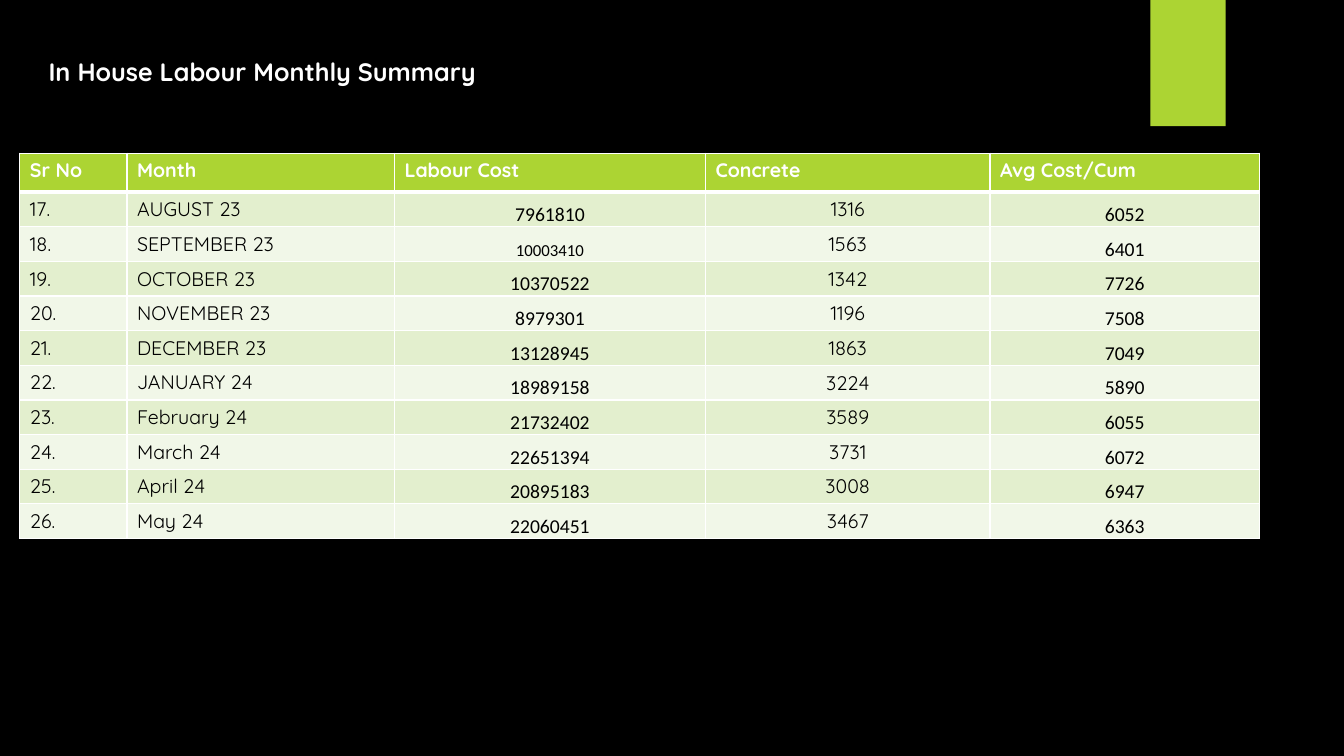
from dataclasses import dataclass

from lxml.etree import SubElement
from pptx import Presentation
from pptx.dml.color import RGBColor
from pptx.enum.shapes import MSO_SHAPE
from pptx.enum.text import MSO_ANCHOR, MSO_AUTO_SIZE, PP_ALIGN
from pptx.oxml.ns import qn
from pptx.util import Cm, Pt


@dataclass(frozen=True)
class Theme:
    background: str = "000000"
    accent: str = "ACD433"
    light_text: str = "FFFFFF"
    dark_text: str = "000000"
    border: str = "FFFFFF"
    bands: tuple = ("E3EFCE", "F1F7E8")
    heading_font: str = "Quicksand"
    number_font: str = "Calibri"
    title_size: int = 18
    table_size: int = 14
    small_size: int = 12


THEME = Theme()
HEADERS = ("Sr No", "Month", "Labour Cost", "Concrete", "Avg Cost/Cum")
FIRST_SERIAL = 17
MONTHS = (
    ("AUGUST 23", 7961810, 1316, 6052),
    ("SEPTEMBER 23", 10003410, 1563, 6401),
    ("OCTOBER 23", 10370522, 1342, 7726),
    ("NOVEMBER 23", 8979301, 1196, 7508),
    ("DECEMBER 23", 13128945, 1863, 7049),
    ("JANUARY 24", 18989158, 3224, 5890),
    ("February 24", 21732402, 3589, 6055),
    ("March 24", 22651394, 3731, 6072),
    ("April 24", 20895183, 3008, 6947),
    ("May 24", 22060451, 3467, 6363),
)
SMALL_VALUE = 10003410
COLUMN_WIDTHS = (2.7, 6.74, 7.84, 7.17, 6.79)
HEADER_HEIGHT, ROW_HEIGHT = 0.98, 0.87

NO_MARGINS = dict.fromkeys(
    ("margin_left", "margin_top", "margin_right", "margin_bottom"), 0)
LEFT_CELL = {"vertical_anchor": MSO_ANCHOR.TOP}
COLUMN_FORMATS = (
    (THEME.heading_font, PP_ALIGN.LEFT, LEFT_CELL),
    (THEME.heading_font, PP_ALIGN.LEFT, LEFT_CELL),
    (THEME.number_font, PP_ALIGN.CENTER,
     {"vertical_anchor": MSO_ANCHOR.BOTTOM, **NO_MARGINS}),
    (THEME.heading_font, PP_ALIGN.CENTER,
     {"vertical_anchor": MSO_ANCHOR.MIDDLE, **NO_MARGINS}),
    (THEME.number_font, PP_ALIGN.CENTER,
     {"vertical_anchor": MSO_ANCHOR.BOTTOM, **NO_MARGINS}),
)


def apply_format(target, values):
    for name, value in values.items():
        setattr(target, name, value)


def fill_solid(target, color):
    target.fill.solid()
    target.fill.fore_color.rgb = RGBColor.from_string(color)


def write_text(text_frame, text, font, size, color, bold, alignment):
    paragraph = text_frame.paragraphs[0]
    paragraph.alignment = alignment
    run = paragraph.add_run()
    run.text = text
    apply_format(run.font, {"name": font, "size": Pt(size), "bold": bold})
    run.font.color.rgb = RGBColor.from_string(color)


def set_borders(cell, top, bottom):
    """Draw the four cell borders; top and bottom are widths in points."""
    properties = cell._tc.get_or_add_tcPr()
    for side, width in (("L", 1), ("R", 1), ("T", top), ("B", bottom)):
        line = SubElement(properties, qn(f"a:ln{side}"), w=str(Pt(width)))
        SubElement(SubElement(line, qn("a:solidFill")), qn("a:srgbClr"), val=THEME.border)


def add_title(slide, text):
    title = slide.shapes.title
    apply_format(title, {"left": Cm(0.97), "top": Cm(1.3),
                         "width": Cm(16.92), "height": Cm(1.8)})
    apply_format(title.text_frame, {"word_wrap": True, "auto_size": MSO_AUTO_SIZE.NONE,
                                    "vertical_anchor": MSO_ANCHOR.TOP})
    write_text(title.text_frame, text, THEME.heading_font, THEME.title_size,
               THEME.light_text, True, PP_ALIGN.LEFT)


def add_accent_tab(slide):
    tab = slide.shapes.add_shape(MSO_SHAPE.RECTANGLE, Cm(28.99), Cm(0), Cm(1.9), Cm(3.18))
    tab.shadow.inherit = False
    fill_solid(tab, THEME.accent)
    tab.line.fill.background()


def fill_header(table):
    for cell, header in zip(table.rows[0].cells, HEADERS):
        set_borders(cell, 1, 3)
        fill_solid(cell, THEME.accent)
        write_text(cell.text_frame, header, THEME.heading_font, THEME.table_size,
                   THEME.light_text, True, PP_ALIGN.LEFT)


def fill_month(table, index, month):
    values = (f"{FIRST_SERIAL + index}.", *month)
    cells = table.rows[index + 1].cells
    for cell, value, (font, alignment, cell_format) in zip(cells, values, COLUMN_FORMATS):
        set_borders(cell, 3 if index == 0 else 1, 1)
        fill_solid(cell, THEME.bands[index % 2])
        apply_format(cell, cell_format)
        size = THEME.small_size if value == SMALL_VALUE else THEME.table_size
        write_text(cell.text_frame, str(value), font, size,
                   THEME.dark_text, False, alignment)


def add_summary_table(slide):
    height = HEADER_HEIGHT + ROW_HEIGHT * len(MONTHS)
    table = slide.shapes.add_table(len(MONTHS) + 1, len(HEADERS), Cm(0.5), Cm(3.86),
                                   Cm(sum(COLUMN_WIDTHS)), Cm(height)).table
    for column, width in zip(table.columns, COLUMN_WIDTHS):
        column.width = Cm(width)
    for index, row in enumerate(table.rows):
        row.height = Cm(ROW_HEIGHT if index else HEADER_HEIGHT)
    fill_header(table)
    for index, month in enumerate(MONTHS):
        fill_month(table, index, month)


def main():
    presentation = Presentation()
    apply_format(presentation, {"slide_width": Cm(33.87), "slide_height": Cm(19.05)})
    slide = presentation.slides.add_slide(presentation.slide_layouts[5])
    fill_solid(slide.background, THEME.background)
    add_accent_tab(slide)
    add_summary_table(slide)
    add_title(slide, "In House Labour Monthly Summary")
    presentation.save("out.pptx")


if __name__ == "__main__":
    main()
